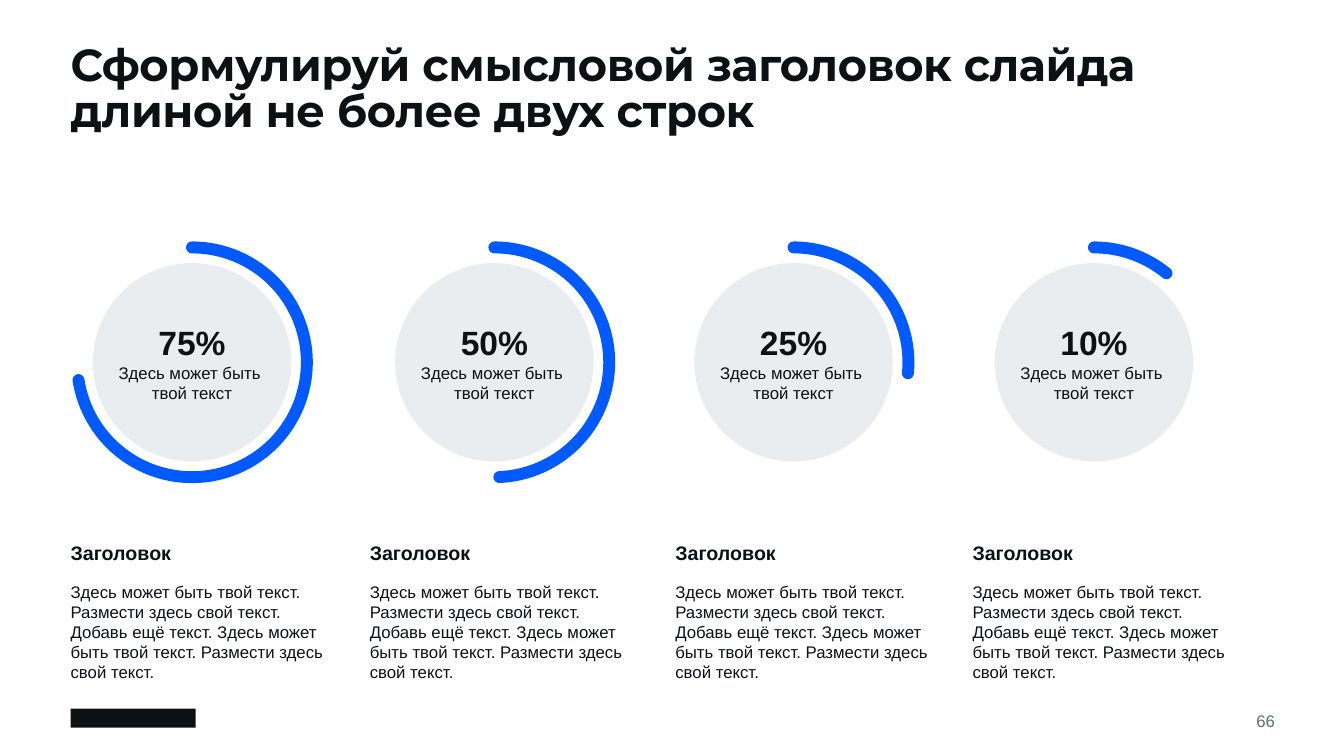
"""Build a slide with four ring gauges and a text column under each."""
from dataclasses import dataclass

from lxml import etree
from pptx import Presentation
from pptx.dml.color import RGBColor
from pptx.enum.shapes import MSO_SHAPE
from pptx.enum.text import MSO_ANCHOR, PP_ALIGN
from pptx.oxml.ns import qn
from pptx.util import Cm, Pt

OVAL, ARC, RECT = MSO_SHAPE.OVAL, MSO_SHAPE.ARC, MSO_SHAPE.RECTANGLE
TOP, MIDDLE = MSO_ANCHOR.TOP, MSO_ANCHOR.MIDDLE
CENTER, RIGHT = PP_ALIGN.CENTER, PP_ALIGN.RIGHT
INK, BLUE, PALE, SLATE = "0E1114", "005AFF", "EAEDEF", "5A6C7D"
LEFT = 1.78
MID = 9.13
DISC, RING = 5, 5.79
START = 270
BODY = ("Здесь может быть твой текст. Размести здесь свой текст. "
        "Добавь ещё текст. Здесь может быть твой текст. Размести здесь свой текст.")


@dataclass
class Gauge:
    """One ring: its value, centre, end angle and the left of its column."""
    value: str
    mid: float
    end: float
    left: float


GAUGES = [
    Gauge("75%", 4.84, 171.1, LEFT),
    Gauge("50%", 12.46, 87.51, 9.32),
    Gauge("25%", 20, 5.49, 17.02),
    Gauge("10%", 27.57, 309.17, 24.51),
]


def color(code: str) -> RGBColor:
    """Turn a hex string into a colour."""
    return RGBColor.from_string(code)


def add_box(shapes, x: float, y: float, w: float, h: float, anchor=TOP, wrap=True):
    """Add a text box without margins and return its frame."""
    frame = shapes.add_textbox(Cm(x), Cm(y), Cm(w), Cm(h)).text_frame
    frame.margin_left = frame.margin_right = frame.margin_top = frame.margin_bottom = 0
    frame.vertical_anchor = anchor
    frame.word_wrap = wrap
    return frame


def add_run(para, text: str, size: float, bold=False, tone=INK, face="Arial"):
    """Add one styled run to a paragraph."""
    run = para.add_run()
    run.text = text
    run.font.size = Pt(size)
    run.font.bold = bold
    run.font.name = face
    run.font.color.rgb = color(tone)
    return run


def add_break(para, size: int) -> None:
    """Add a line break with a set text size."""
    para.add_line_break()
    etree.SubElement(para._p[-1], qn("a:rPr"), sz=str(size * 100))


def add_solid(shapes, kind, x: float, y: float, w: float, h: float, tone: str) -> None:
    """Add a filled shape without an outline."""
    shape = shapes.add_shape(kind, Cm(x), Cm(y), Cm(w), Cm(h))
    shape.shadow.inherit = False
    shape.fill.solid()
    shape.fill.fore_color.rgb = color(tone)
    shape.line.fill.background()


def add_arc(shapes, gauge: Gauge) -> None:
    """Add the round-capped arc of a gauge."""
    arc = shapes.add_shape(ARC, Cm(gauge.mid - RING / 2), Cm(MID - RING / 2), Cm(RING), Cm(RING))
    arc.shadow.inherit = False
    arc.fill.background()
    for spot, angle in enumerate((START, gauge.end)):
        arc.adjustments[spot] = angle * 0.6
    arc.line.color.rgb = color(BLUE)
    arc.line.width = Pt(8.5)
    arc.line._get_or_add_ln().set("cap", "rnd")


def add_gauge(slide, gauge: Gauge) -> None:
    """Add disc, arc and label as one group."""
    shapes = slide.shapes.add_group_shape().shapes
    add_solid(shapes, OVAL, gauge.mid - DISC / 2, MID - DISC / 2, DISC, DISC, PALE)
    add_arc(shapes, gauge)
    frame = add_box(shapes, gauge.mid - 2.03, MID - 1.36, 4.06, 2.72, MIDDLE, False)
    para = frame.paragraphs[0]
    para.alignment = CENTER
    add_run(para, gauge.value, 24, True)
    add_break(para, 24)
    add_run(para, "Здесь может быть ", 12)
    add_break(para, 12)
    add_run(para, "твой текст", 12)


def add_column(slide, gauge: Gauge) -> None:
    """Add the heading and text below a gauge."""
    frame = add_box(slide.shapes, gauge.left, 13.72, 6.71, 3.68)
    head = frame.paragraphs[0]
    head.line_spacing = 0.85
    head.space_after = Pt(12)
    add_run(head, "Заголовок", 14, True)
    add_run(frame.add_paragraph(), BODY, 12)


def main() -> None:
    """Build and save the slide."""
    deck = Presentation()
    deck.slide_width, deck.slide_height = Cm(33.87), Cm(19.05)
    slide = deck.slides.add_slide(deck.slide_layouts[6])
    add_solid(slide.shapes, RECT, LEFT, 17.86, 3.15, 0.48, INK)

    page = add_box(slide.shapes, 29.62, 17.86, 2.51, 0.61, MIDDLE).paragraphs[0]
    page.alignment = RIGHT
    add_run(page, "66", 12, tone=SLATE)

    title = add_box(slide.shapes, LEFT, 1.14, 30.3, 1.9).paragraphs[0]
    title.line_spacing = 0.85
    run = add_run(title, "Сформулируй смысловой заголовок слайда длиной не более двух строк",
                  32, True, face="Montserrat")
    run.font._element.set("spc", "-30")

    for gauge in GAUGES:
        add_column(slide, gauge)
        add_gauge(slide, gauge)
    deck.save("out.pptx")


if __name__ == "__main__":
    main()
